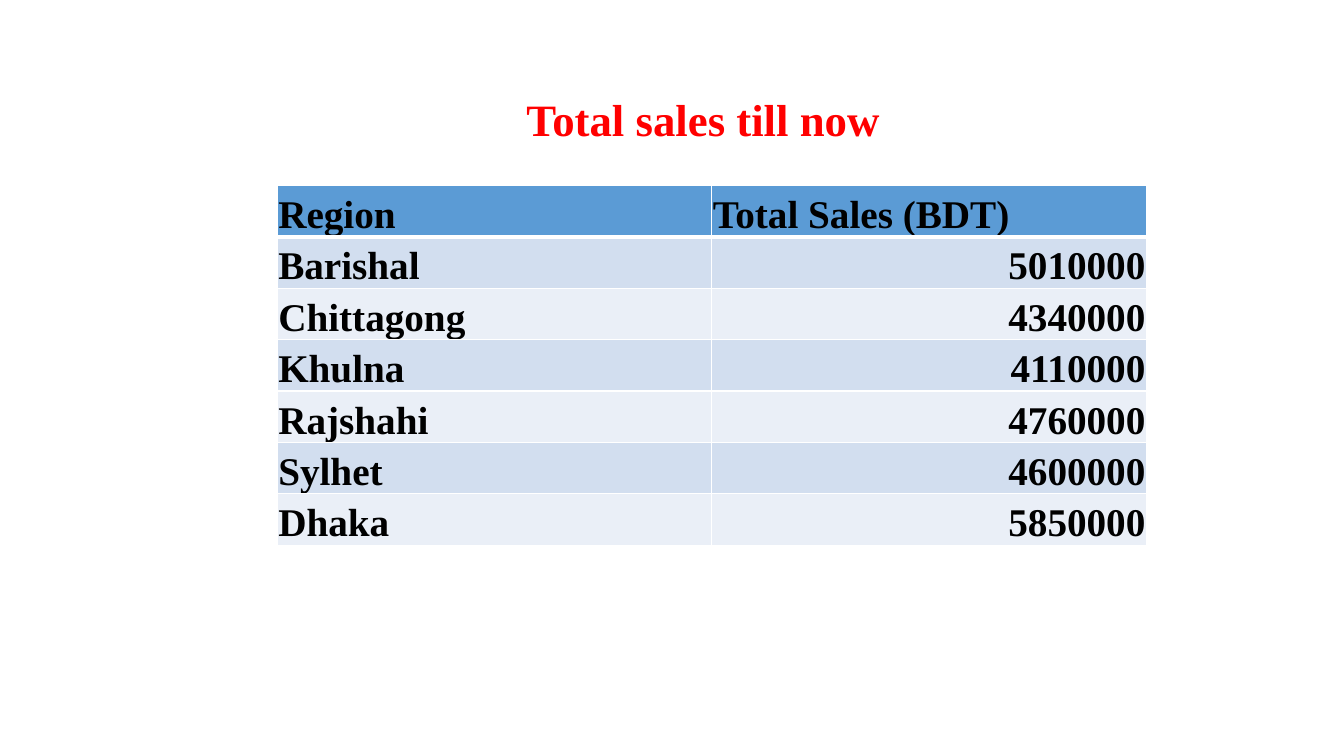
import pptx
import pptx.util
import pptx.dml.color
import pptx.enum.text
import pptx.oxml
import pptx.oxml.ns

WIDE, HIGH = 13.33, 7.5
LEFT, TOP = 2.75, 1.84
COL, ROW = 4.31, 0.51
FACE = "Times New Roman"
HUES = {"title": "FF0000", "text": "000000", "head": "5B9BD5",
        "odd": "D2DEEF", "even": "EAEFF7", "line": "FFFFFF"}
HEADS = ("Region", "Total Sales (BDT)")
SALES = {"Barishal": 5010000, "Chittagong": 4340000, "Khulna": 4110000,
         "Rajshahi": 4760000, "Sylhet": 4600000, "Dhaka": 5850000}
ALIGN = pptx.enum.text.PP_ALIGN
ANCHOR = pptx.enum.text.MSO_ANCHOR


def inch(size):
    """Turn inches into a length."""
    return pptx.util.Inches(size)


def color(name):
    """Look up a named colour."""
    return pptx.dml.color.RGBColor.from_string(HUES[name])


def style(para, size, hue, align):
    """Format one paragraph."""
    para.alignment = align
    font = para.font
    font.name, font.size, font.bold = FACE, pptx.util.Pt(size), True
    font.color.rgb = color(hue)


def edge(cell, side, width):
    """Draw one side of a cell's border."""
    line = pptx.oxml.parse_xml(
        f'<a:ln{side} {pptx.oxml.ns.nsdecls("a")} w="{pptx.util.Pt(width)}">'
        f'<a:solidFill><a:srgbClr val="{HUES["line"]}"/></a:solidFill>'
        f'</a:ln{side}>')
    cell._tc.get_or_add_tcPr().append(line)


def write(cell, text, hue, align, widths):
    """Fill one table cell."""
    for side, width in zip("LRTB", widths):
        edge(cell, side, width)
    cell.fill.solid()
    cell.fill.fore_color.rgb = color(hue)
    cell.vertical_anchor = ANCHOR.BOTTOM
    cell.margin_left = cell.margin_right = cell.margin_top = inch(0.01)
    cell.margin_bottom = 0
    cell.text = text
    style(cell.text_frame.paragraphs[0], 28, "text", align)


def add_title(slide, text):
    """Place and format the slide title."""
    title = slide.shapes.title
    title.left, title.top = inch(LEFT), inch(0.86)
    title.width, title.height = inch(8.45), inch(0.64)
    frame = title.text_frame
    frame.text = text
    frame.word_wrap = True
    frame.vertical_anchor = ANCHOR.TOP
    style(frame.paragraphs[0], 32, "title", ALIGN.CENTER)


def add_sales(slide):
    """Add the table of sales by region."""
    rows = [HEADS, *SALES.items()]
    table = slide.shapes.add_table(
        len(rows), len(HEADS), inch(LEFT), inch(TOP),
        inch(COL * len(HEADS)), inch(ROW * len(rows))).table
    for col in table.columns:
        col.width = inch(COL)
    for i, row in enumerate(rows):
        table.rows[i].height = inch(ROW)
        hue = "head" if i == 0 else "odd" if i % 2 else "even"
        widths = (1, 1, 3 if i == 1 else 1, 3 if i == 0 else 1)
        for j, value in enumerate(row):
            align = ALIGN.RIGHT if i and j else ALIGN.LEFT
            write(table.cell(i, j), str(value), hue, align, widths)


def main():
    """Build and save the slide."""
    deck = pptx.Presentation()
    deck.slide_width, deck.slide_height = inch(WIDE), inch(HIGH)
    slide = deck.slides.add_slide(deck.slide_layouts[5])
    add_title(slide, "Total sales till now")
    add_sales(slide)
    deck.save("out.pptx")


if __name__ == "__main__":
    main()
